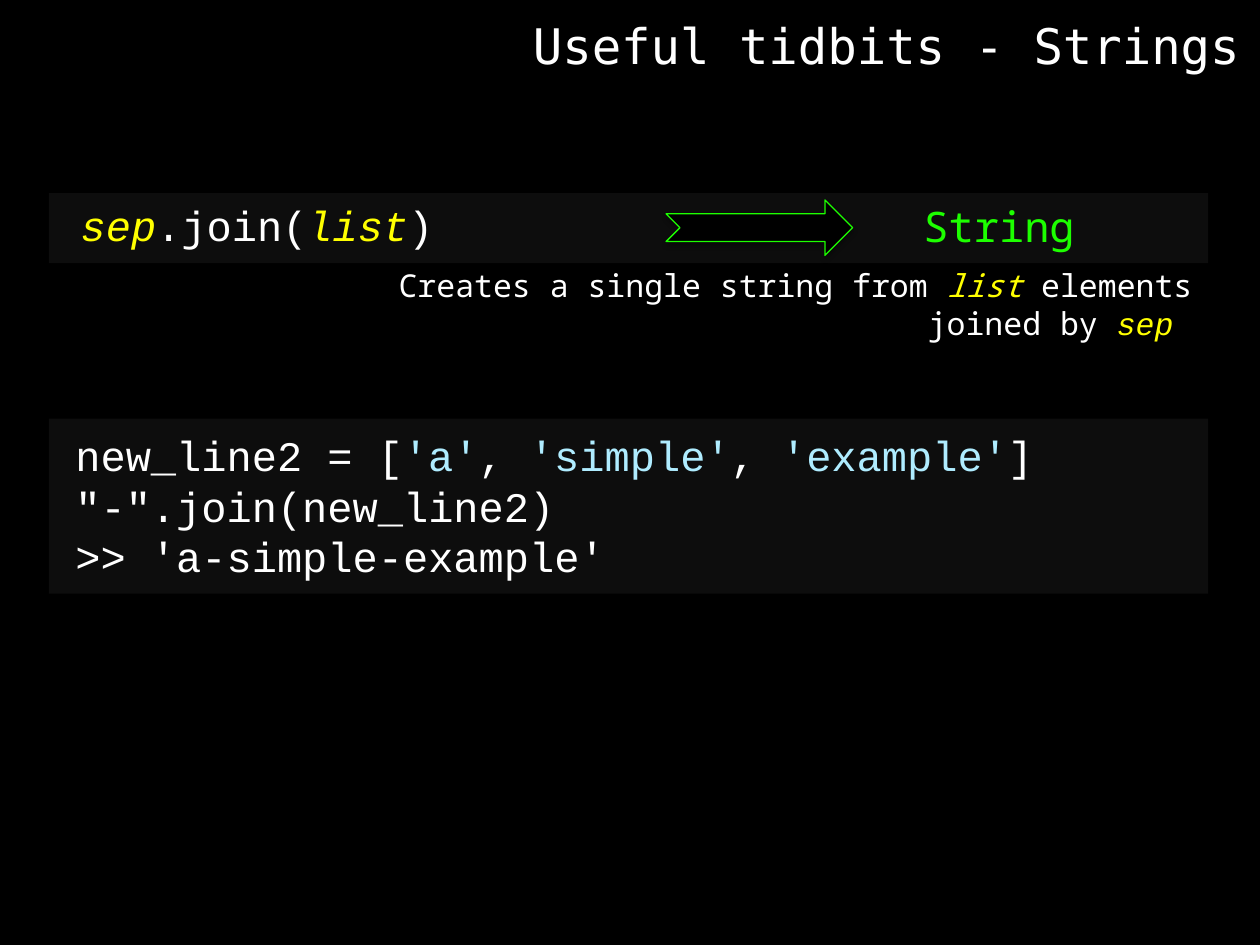
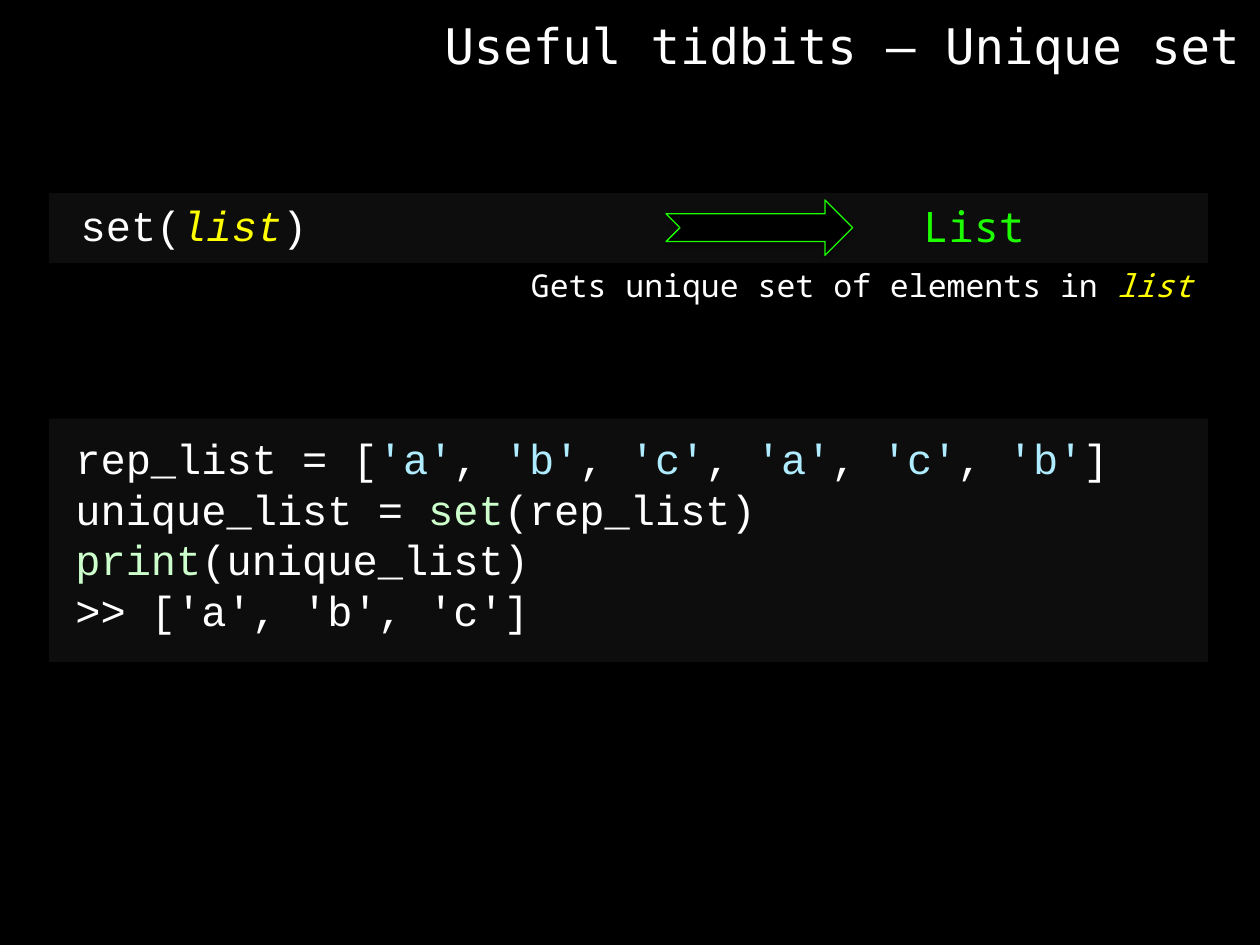
from lxml import etree
from pptx import Presentation
from pptx.dml.color import RGBColor
from pptx.enum.shapes import MSO_SHAPE as Shape
from pptx.enum.text import MSO_ANCHOR as Anchor, MSO_AUTO_SIZE as AutoSize, PP_ALIGN as Align
from pptx.oxml.ns import qn
from pptx.util import Pt

BLACK = RGBColor(0x00, 0x00, 0x00)
PANEL = RGBColor(0x0D, 0x0D, 0x0D)
WHITE = RGBColor(0xFF, 0xFF, 0xFF)
ARGUMENT = RGBColor(0xFF, 0xFF, 0x00)
RESULT = RGBColor(0x1D, 0xFF, 0x00)
LITERAL = RGBColor(0xAF, 0xEC, 0xFF)
BUILTIN = RGBColor(0xCC, 0xFF, 0xCC)

TITLE_FONT = "DejaVu Sans Mono"
PROSE_FONT = "Noto Sans Mono"
CODE_FONT = "Courier New"

TITLE_RIGHT = 715.7
PANEL_LEFT, PANEL_WIDTH = 28, 662.4


def mono_width(length, size, slack):
    """Return the width of a box for a monospaced line."""
    return 0.6 * size * length + slack


def line_length(line):
    """Count the characters in a line of coloured pieces."""
    return sum(len(text) for text, *_ in line)


def list_assignment(name, items):
    """Return the coloured pieces of a list assignment."""
    line = [(f"{name} = [", WHITE)]
    for index, item in enumerate(items):
        if index:
            line.append((", ", WHITE))
        line.append((f"'{item}'", LITERAL))
    return line + [("]", WHITE)]


def style(run, font, size, color):
    """Format one run; arguments are set in italics."""
    run.font.name = font
    run.font.size = Pt(size)
    run.font.color.rgb = color
    run.font.italic = color == ARGUMENT


def add_title(slide, text):
    """Fill the title placeholder, flush with the right edge."""
    title = slide.shapes.title
    width = mono_width(len(text), 28, 18.7)
    title.left, title.top = Pt(TITLE_RIGHT - width), Pt(5)
    title.width, title.height = Pt(width), Pt(41)
    frame = title.text_frame
    frame.text = text
    frame.word_wrap = True
    frame.auto_size = AutoSize.NONE
    frame.vertical_anchor = Anchor.TOP
    frame.paragraphs[0].alignment = Align.RIGHT
    style(frame.paragraphs[0].runs[0], TITLE_FONT, 28, WHITE)


def add_lines(group, box, lines, font, size, align=Align.LEFT):
    """Add a text box with lines made of coloured pieces."""
    frame = group.shapes.add_textbox(*map(Pt, box)).text_frame
    frame.word_wrap = True
    for index, line in enumerate(lines):
        paragraph = frame.add_paragraph() if index else frame.paragraphs[0]
        paragraph.alignment = align
        for text, color in line:
            run = paragraph.add_run()
            run.text = text
            style(run, font, size, color)


def add_panel(group, top, height):
    """Add a dark band behind code."""
    box = (PANEL_LEFT, top, PANEL_WIDTH, height)
    panel = group.shapes.add_shape(Shape.RECTANGLE, *map(Pt, box))
    panel.shadow.inherit = False
    panel.fill.solid()
    panel.fill.fore_color.rgb = PANEL
    panel.line.fill.background()


def add_arrow(group):
    """Add the outlined arrow from call to result."""
    box = (380.6, 114.3, 106.6, 31.7)
    arrow = group.shapes.add_shape(Shape.NOTCHED_RIGHT_ARROW, *map(Pt, box))
    arrow.fill.solid()
    arrow.fill.fore_color.rgb = BLACK
    arrow.line.color.rgb = RESULT
    arrow.line.width = Pt(0.75)
    arrow.shadow.inherit = False
    effects = arrow.element.spPr.find(qn("a:effectLst"))
    shadow = etree.SubElement(effects, qn("a:outerShdw"), blurRad=str(Pt(3.1)),
                              dist=str(Pt(1.8)), dir="5400000", rotWithShape="0")
    color = etree.SubElement(shadow, qn("a:srgbClr"), val=str(BLACK))
    etree.SubElement(color, qn("a:alpha"), val="35000")


def add_signature(slide, call, result, description, description_height):
    """Add a call, its result type and what it does."""
    group = slide.shapes.add_group_shape()
    add_lines(group, (157, 148.3, 531.4, description_height), [description],
              PROSE_FONT, 18, Align.RIGHT)
    add_panel(group, 110.4, 40)
    call_width = mono_width(line_length(call), 24, 16.5)
    add_lines(group, (39, 110.4, call_width, 36), [call], CODE_FONT, 24)
    result_width = mono_width(len(result), 24, 16)
    add_lines(group, (520.6, 110.9, result_width, 36), [[(result, RESULT)]],
              PROSE_FONT, 24)
    add_arrow(group)


def add_example(slide, lines, panel_height, code_top):
    """Add a panel of example code."""
    group = slide.shapes.add_group_shape()
    add_panel(group, 239.3, panel_height)
    width = mono_width(max(map(line_length, lines)), 24, 20)
    add_lines(group, (36, code_top, width, 29.5 * len(lines) + 5.8),
              lines, CODE_FONT, 24)


def build_strings(slide):
    """Build the slide on joining strings."""
    add_title(slide, "Useful tidbits - Strings")
    call = [("sep", ARGUMENT), (".join(", WHITE), ("list", ARGUMENT), (")", WHITE)]
    description = [("Creates a single string from ", WHITE), ("list ", ARGUMENT),
                   ("elements joined by ", WHITE)]
    add_signature(slide, call, "String", description, 51)
    separator = slide.shapes[-1].shapes[0].text_frame.paragraphs[0].add_run()
    separator.text = "sep "
    style(separator, CODE_FONT, 18, ARGUMENT)
    add_example(slide, [
        list_assignment("new_line2", ["a", "simple", "example"]),
        [('"-".join(new_line2)', WHITE)],
        [(">> 'a-simple-example'", WHITE)],
    ], 100, 242)


def build_unique_set(slide):
    """Build the slide on unique elements."""
    add_title(slide, "Useful tidbits \u2013 Unique set")
    call = [("set(", WHITE), ("list", ARGUMENT), (")", WHITE)]
    description = [("Gets unique set of elements in ", WHITE), ("list", ARGUMENT)]
    add_signature(slide, call, "List", description, 29)
    add_example(slide, [
        list_assignment("rep_list", "abcacb"),
        [("unique_list = ", WHITE), ("set", BUILTIN), ("(rep_list)", WHITE)],
        [("print", BUILTIN), ("(unique_list)", WHITE)],
        [(">> ['a', 'b', 'c']", WHITE)],
    ], 139, 243.8)


def main():
    """Build and save the presentation."""
    deck = Presentation()
    deck.slide_width, deck.slide_height = Pt(720), Pt(540)
    background = deck.slide_master.background.fill
    background.solid()
    background.fore_color.rgb = BLACK
    title_only = deck.slide_layouts[5]
    for build in (build_strings, build_unique_set):
        build(deck.slides.add_slide(title_only))
    deck.save("out.pptx")


main()
